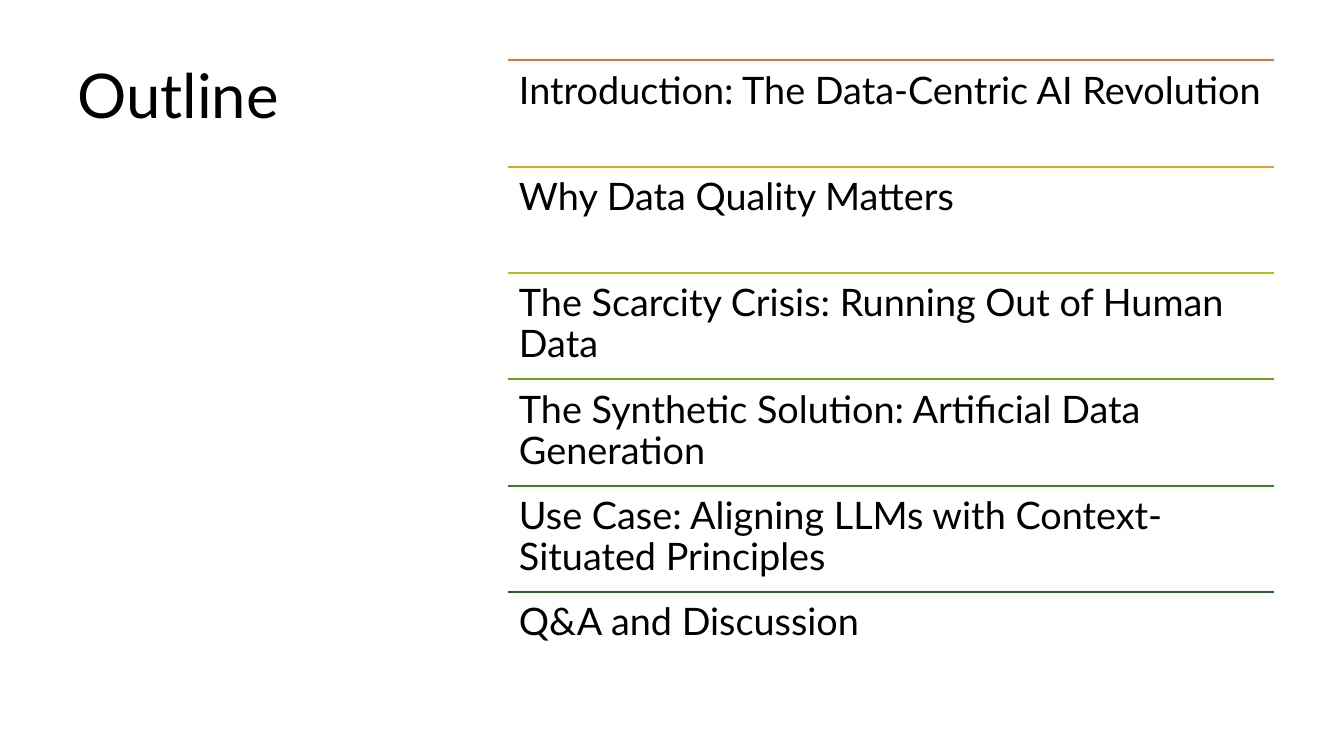
import pptx
import pptx.dml.color
import pptx.enum.shapes
import pptx.enum.text
import pptx.oxml
import pptx.util
from pptx.dml.color import RGBColor
from pptx.util import Cm, Pt

TITLE = "Outline"
TOPICS = [
    ("Introduction: The Data-Centric AI Revolution", RGBColor(0xE9, 0x71, 0x32)),
    ("Why Data Quality Matters", RGBColor(0xE0, 0xA6, 0x1D)),
    ("The Scarcity Crisis: Running Out of Human Data", RGBColor(0xB7, 0xC1, 0x1E)),
    ("The Synthetic Solution: Artificial Data Generation", RGBColor(0x6B, 0xA3, 0x1D)),
    ("Use Case: Aligning LLMs with Context-Situated Principles", RGBColor(0x34, 0x86, 0x1C)),
    ("Q&A and Discussion", RGBColor(0x19, 0x6B, 0x24)),
]
BLACK = RGBColor(0, 0, 0)
TOP = Cm(1.52)
LIST_LEFT, LIST_WIDTH = Cm(12.8), Cm(19.3)
ROW_HEIGHT = Cm(2.68)


def write_text(shape, text, size, inset_x, inset_y):
    frame = shape.text_frame
    frame_format = {
        "word_wrap": True,
        "auto_size": pptx.enum.text.MSO_AUTO_SIZE.NONE,
        "vertical_anchor": pptx.enum.text.MSO_ANCHOR.TOP,
        "margin_left": inset_x, "margin_right": inset_x,
        "margin_top": inset_y, "margin_bottom": inset_y,
    }
    for name, value in frame_format.items():
        setattr(frame, name, value)
    para = frame.paragraphs[0]
    para.alignment = pptx.enum.text.PP_ALIGN.LEFT
    para.line_spacing = 0.9
    span = para.add_run()
    span.text = text
    for name, value in {"name": "Lato", "size": Pt(size)}.items():
        setattr(span.font, name, value)
    span.font.color.rgb = BLACK


def add_rule(page, top, color):
    rule = page.shapes.add_connector(
        pptx.enum.shapes.MSO_CONNECTOR.STRAIGHT,
        LIST_LEFT, top, LIST_LEFT + LIST_WIDTH, top)
    rule.line.color.rgb = color
    rule.line.width = Pt(1.5)
    properties = rule.line._get_or_add_ln().getparent()
    properties.append(pptx.oxml.parse_xml(
        '<a:effectLst xmlns:a="http://schemas.openxmlformats.org/drawingml/2006/main"/>'))


def main():
    deck = pptx.Presentation()
    deck.slide_width, deck.slide_height = Cm(33.87), Cm(19.05)
    page = deck.slides.add_slide(deck.slide_layouts[5])

    title = page.shapes.title
    place = {"left": Cm(1.7), "top": TOP, "width": Cm(9.7), "height": ROW_HEIGHT * len(TOPICS)}
    for name, value in place.items():
        setattr(title, name, value)
    write_text(title, TITLE, 44, Cm(0.25), Cm(0.13))

    for index, (topic, color) in enumerate(TOPICS):
        row_top = TOP + index * ROW_HEIGHT
        add_rule(page, row_top, color)
        box = page.shapes.add_textbox(LIST_LEFT, row_top, LIST_WIDTH, ROW_HEIGHT)
        write_text(box, topic, 27, Cm(0.28), Cm(0.28))

    deck.save("out.pptx")


if __name__ == "__main__":
    main()
